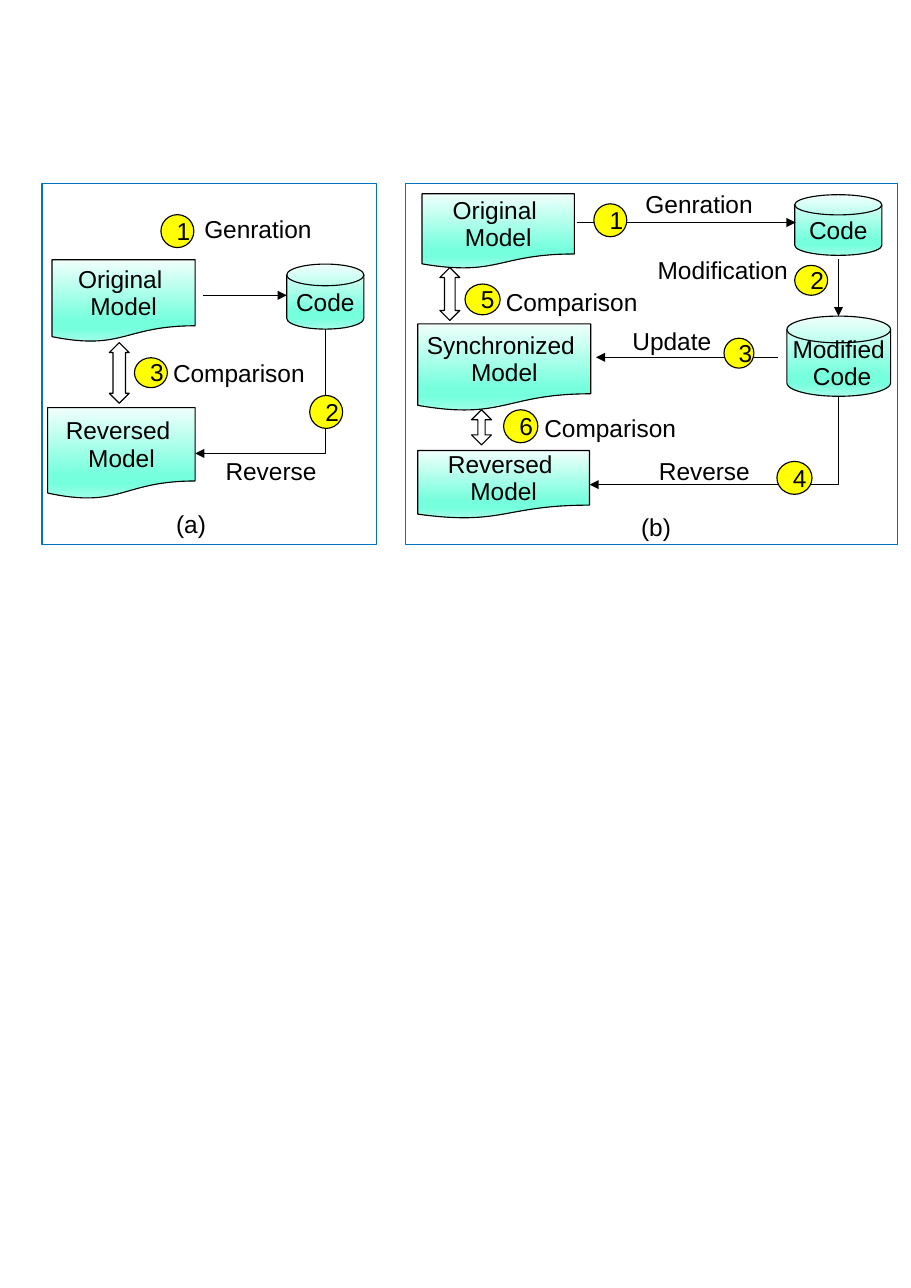
from dataclasses import dataclass

from lxml import etree
from pptx import Presentation
from pptx.dml.color import RGBColor
from pptx.enum.shapes import MSO_CONNECTOR, MSO_SHAPE
from pptx.enum.text import MSO_ANCHOR, PP_ALIGN
from pptx.oxml.ns import qn
from pptx.util import Cm, Pt

DOCUMENT = MSO_SHAPE.FLOWCHART_DOCUMENT
DISK = MSO_SHAPE.FLOWCHART_MAGNETIC_DISK
DOUBLE_ARROW = MSO_SHAPE.UP_DOWN_ARROW
OVAL = MSO_SHAPE.OVAL
RECTANGLE = MSO_SHAPE.RECTANGLE
STRAIGHT = MSO_CONNECTOR.STRAIGHT
ELBOW = MSO_CONNECTOR.ELBOW
CENTER, LEFT = PP_ALIGN.CENTER, PP_ALIGN.LEFT
MIDDLE, TOP = MSO_ANCHOR.MIDDLE, MSO_ANCHOR.TOP


@dataclass(frozen=True)
class Theme:
    """Colours, type and line sizes of the slide."""
    ink: str = "000000"
    white: str = "FFFFFF"
    step: str = "FFFF00"
    frame: str = "0070C0"
    mint: tuple = ((0, "F0FFFB"), (74, "75FFDD"), (83, "75FFDD"), (100, "A3FFE8"))
    font: str = "Arial"
    size: float = 16
    line: float = 0.75
    spacing: float = 0.93


THEME = Theme()


def write(frame, text, align=LEFT, anchor=TOP, wrap=False):
    """Put formatted text into a text frame."""
    frame.word_wrap = wrap
    frame.vertical_anchor = anchor
    frame.margin_left = frame.margin_right = Cm(0.25)
    frame.margin_top, frame.margin_bottom = Cm(0.18), Cm(0.13)
    paragraph = frame.paragraphs[0]
    paragraph.text = text
    paragraph.alignment = align
    paragraph.line_spacing = THEME.spacing
    for run in paragraph.runs:
        run.font.name = THEME.font
        run.font.size = Pt(THEME.size)
        run.font.color.rgb = RGBColor.from_string(THEME.ink)
    for line_break in paragraph._p.findall(qn("a:br")):
        etree.SubElement(line_break, qn("a:rPr"), sz=str(THEME.size * 100))


def fill_mint(shape):
    """Fill a shape with the vertical mint gradient."""
    shape.fill.gradient()
    shape.fill.gradient_angle = 270
    stops = shape._element.spPr.find(".//" + qn("a:gsLst"))
    for stop in list(stops):
        stops.remove(stop)
    for position, color in THEME.mint:
        stop = etree.SubElement(stops, qn("a:gs"), pos=str(position * 1000))
        etree.SubElement(stop, qn("a:srgbClr"), val=color)


def style_arrow(connector):
    """Give a connector a thin line, a triangle head and no shadow."""
    connector.line.color.rgb = RGBColor.from_string(THEME.ink)
    connector.line.width = Pt(THEME.line)
    etree.SubElement(connector.line._get_or_add_ln(), qn("a:tailEnd"), type="triangle")
    etree.SubElement(connector._element.spPr, qn("a:effectLst"))


@dataclass
class Panel:
    """A framed region whose parts are placed from its top left corner."""
    slide: object
    left: float
    top: float
    width: float
    height: float

    def shape(self, kind, x, y, width, height, fill=None, line=THEME.ink):
        """Add an outlined shape."""
        shape = self.slide.shapes.add_shape(
            kind, Cm(self.left + x), Cm(self.top + y), Cm(width), Cm(height))
        shape.shadow.inherit = False
        if fill:
            shape.fill.solid()
            shape.fill.fore_color.rgb = RGBColor.from_string(fill)
        else:
            shape.fill.background()
        shape.line.color.rgb = RGBColor.from_string(line)
        shape.line.width = Pt(THEME.line)
        return shape

    def border(self):
        """Frame the panel."""
        self.shape(RECTANGLE, 0, 0, self.width, self.height, line=THEME.frame)

    def artifact(self, kind, text, *box):
        """Add a model document or a code store."""
        artifact = self.shape(kind, *box)
        fill_mint(artifact)
        write(artifact.text_frame, text, align=CENTER, anchor=MIDDLE)
        return artifact

    def step(self, number, x, y, width=0.76, height=0.76):
        """Add a numbered step marker."""
        marker = self.shape(OVAL, x, y, width, height, fill=THEME.step)
        write(marker.text_frame, str(number), align=CENTER, anchor=MIDDLE, wrap=True)

    def compare(self, x, y, height, head):
        """Add a double arrow between two models."""
        arrow = self.shape(DOUBLE_ARROW, x, y, 0.46, height, fill=THEME.white)
        arrow.adjustments[0], arrow.adjustments[1] = 0.5, head

    def label(self, text, x, y, width=3.56):
        """Add a line of plain text."""
        box = self.slide.shapes.add_textbox(
            Cm(self.left + x), Cm(self.top + y), Cm(width), Cm(0.97))
        write(box.text_frame, text)

    def arrow(self, x1, y1, x2, y2):
        """Add a straight arrow."""
        style_arrow(self.slide.shapes.add_connector(
            STRAIGHT, Cm(self.left + x1), Cm(self.top + y1),
            Cm(self.left + x2), Cm(self.top + y2)))

    def reverse_arrow(self, code, model):
        """Lead an arrow down from the code and left into the model."""
        start_x, start_y = code.left + code.width // 2, code.top + code.height
        end_x, end_y = model.left + model.width, model.top + model.height // 2
        across, down = start_x - end_x, end_y - start_y
        bend = self.slide.shapes.add_connector(ELBOW, 0, 0, down, across)
        bend.left = (start_x + end_x - down) // 2
        bend.top = (start_y + end_y - across) // 2
        properties = bend._element.spPr
        properties.find(qn("a:xfrm")).set("rot", "5400000")
        properties.find(qn("a:prstGeom")).set("prst", "bentConnector2")
        style_arrow(bend)


def draw_reverse_check(slide, *box):
    """Draw panel (a): generate, reverse and compare."""
    panel = Panel(slide, *box)
    panel.artifact(DOCUMENT, "Original \nModel", 0.23, 1.75, 3.3, 1.9)
    code = panel.artifact(DISK, "Code", 5.64, 1.85, 1.78, 1.5)
    reversed_model = panel.artifact(DOCUMENT, "Reversed \nModel", 0.13, 5.16, 3.4, 2.11)
    panel.reverse_arrow(code, reversed_model)
    panel.arrow(3.71, 2.57, 5.64, 2.57)
    panel.compare(1.55, 3.66, 1.4, head=0.625)
    panel.label("Genration", 3.49, 0.58)
    panel.label("Reverse", 3.98, 6.15)
    panel.label("Comparison", 2.77, 3.89)
    panel.label("(a)", 2.84, 7.37, width=1.27)
    panel.step(1, 2.74, 0.71)
    panel.step(2, 6.17, 4.88)
    panel.step(3, 2.13, 4.01, height=0.69)
    panel.border()


def draw_synchronization(slide, *box):
    """Draw panel (b): modify the code, update and compare twice."""
    panel = Panel(slide, *box)
    panel.artifact(DOCUMENT, "Original \nModel", 0.38, 0.23, 3.51, 1.73)
    panel.artifact(DISK, "Code", 8.97, 0.25, 2.01, 1.4)
    panel.artifact(DOCUMENT, "Synchronized \nModel", 0.28, 3.23, 3.99, 2.01)
    modified = panel.artifact(DISK, "Modified\n Code", 8.79, 3.05, 2.39, 1.85)
    reversed_model = panel.artifact(DOCUMENT, "Reversed \nModel", 0.28, 6.15, 3.96, 1.57)
    panel.reverse_arrow(modified, reversed_model)
    panel.arrow(3.94, 0.89, 8.99, 0.89)
    panel.arrow(8.59, 4, 4.39, 4)
    panel.arrow(9.98, 1.73, 9.98, 3.05)
    panel.compare(0.79, 1.93, 1.22, head=0.535)
    panel.compare(1.52, 5.21, 0.81, head=0.365)
    panel.label("Genration", 5.28, 0)
    panel.label("Modification", 5.56, 1.52)
    panel.label("Update", 4.98, 3.15)
    panel.label("Reverse", 5.59, 6.15)
    panel.label("Comparison", 2.06, 2.26)
    panel.label("Comparison", 2.95, 5.16)
    panel.label("(b)", 5.18, 7.44, width=1.27)
    panel.step(1, 4.34, 0.46)
    panel.step(2, 8.97, 1.88, height=0.69)
    panel.step(3, 7.34, 3.56, 0.69, 0.69)
    panel.step(4, 8.56, 6.4, width=0.81)
    panel.step(5, 1.37, 2.31, 0.81, 0.71)
    panel.step(6, 2.26, 5.21, width=0.79)
    panel.border()


def main():
    """Build the slide and save it."""
    deck = Presentation()
    deck.slide_width, deck.slide_height = Cm(21), Cm(29.7)
    slide = deck.slides.add_slide(deck.slide_layouts[6])
    draw_reverse_check(slide, 0.97, 4.24, 7.72, 8.31)
    draw_synchronization(slide, 9.35, 4.24, 11.35, 8.31)
    deck.save("out.pptx")


if __name__ == "__main__":
    main()
